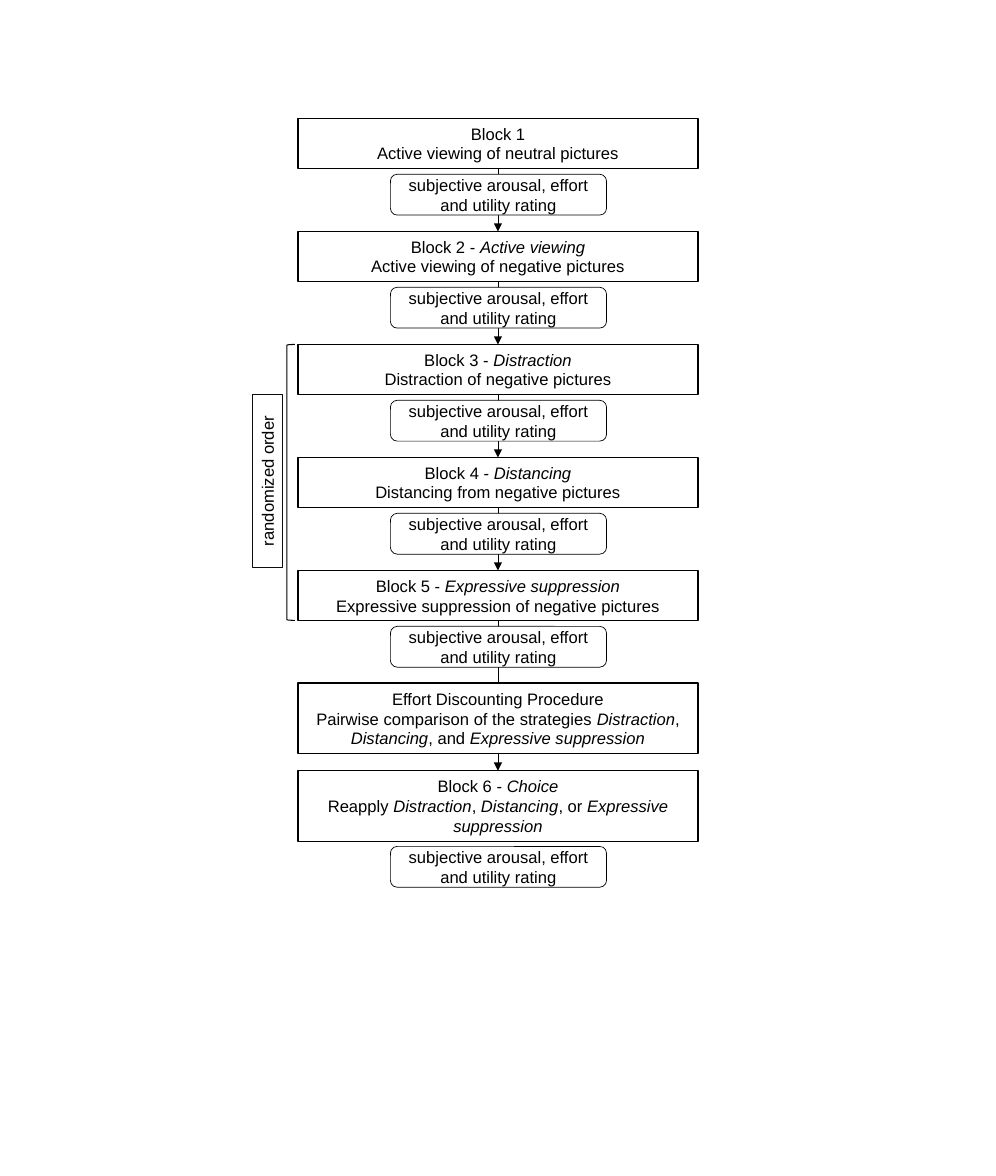
from lxml.etree import SubElement
from pptx import Presentation
from pptx.dml.color import RGBColor
from pptx.enum.shapes import MSO_CONNECTOR, MSO_SHAPE
from pptx.enum.text import MSO_ANCHOR, PP_ALIGN
from pptx.oxml.ns import qn
from pptx.util import Inches, Pt

BLACK = "000000"
WHITE = "FFFFFF"
LEFT, WIDTH = 2.99, 4.02
TOP, STEP = 1.19, 1.135
LOW, TALL = 0.5, 0.71
RATING = "subjective arousal, effort and utility rating"

# Text between asterisks is italic
BLOCKS = [
    ["Block 1", "Active viewing of neutral pictures"],
    ["Block 2 - *Active viewing*", "Active viewing of negative pictures"],
    ["Block 3 - *Distraction*", "Distraction of negative pictures"],
    ["Block 4 - *Distancing*", "Distancing from negative pictures"],
    ["Block 5 - *Expressive suppression*",
     "Expressive suppression of negative pictures"],
]
EFFORT = [
    "Effort Discounting Procedure",
    "Pairwise comparison of the strategies *Distraction*, *Distancing*, "
    "and *Expressive suppression*",
]
CHOICE = [
    "Block 6 - *Choice*",
    "Reapply *Distraction*, *Distancing*, or *Expressive suppression*",
]


def paint(color, value):
    color.rgb = RGBColor.from_string(value)


def add_box(slide, kind, at, weight, lines=(), edge=BLACK):
    box = slide.shapes.add_shape(kind, *[Inches(n) for n in at])
    box.shadow.inherit = False
    box.fill.solid()
    paint(box.fill.fore_color, WHITE)
    paint(box.line.color, edge)
    box.line.width = Pt(weight)
    frame = box.text_frame
    frame.word_wrap = True
    frame.vertical_anchor = MSO_ANCHOR.MIDDLE
    for i, line in enumerate(lines):
        para = frame.add_paragraph() if i else frame.paragraphs[0]
        para.alignment = PP_ALIGN.CENTER
        para.font.name = "Arial"
        para.font.size = Pt(12)
        paint(para.font.color, BLACK)
        for j, part in enumerate(line.split("*")):
            if part:
                run = para.add_run()
                run.text = part
                if j % 2:
                    run.font.italic = True
    return box


def add_block(slide, top, height, lines):
    at = (LEFT, top, WIDTH, height)
    return add_box(slide, MSO_SHAPE.RECTANGLE, at, 1, lines)


def add_rating(slide, top):
    at = (3.92, top, 2.17, 0.41)
    add_box(slide, MSO_SHAPE.ROUNDED_RECTANGLE, at, 0.5, [RATING])


def add_arrow(slide, start, end):
    arrow = slide.shapes.add_connector(MSO_CONNECTOR.STRAIGHT, 0, 0, 0, 0)
    arrow.begin_connect(start, 2)
    arrow.end_connect(end, 0)
    arrow.line.width = Pt(0.5)
    paint(arrow.line.color, BLACK)
    SubElement(arrow.line._get_or_add_ln(), qn("a:tailEnd"), type="triangle")
    SubElement(arrow._element.spPr, qn("a:effectLst"))


def add_order(slide):
    at = (2.88, TOP + 2 * STEP, 0.08, 2 * STEP + LOW)
    add_box(slide, MSO_SHAPE.LEFT_BRACKET, at, 0.75)
    label = add_box(slide, MSO_SHAPE.RECTANGLE, (1.82, 4.68, 1.73, 0.3),
                    0.75, ["randomized order"], "0D0D0D")
    label.rotation = 270
    label.text_frame.vertical_anchor = MSO_ANCHOR.TOP


def main():
    deck = Presentation()
    deck.slide_width = Inches(10)
    deck.slide_height = Inches(11.81)
    slide = deck.slides.add_slide(deck.slide_layouts[6])

    # Blocks and the arrows between them
    tops = [TOP + i * STEP for i in range(len(BLOCKS))]
    boxes = [add_block(slide, top, LOW, lines)
             for top, lines in zip(tops, BLOCKS)]
    boxes.append(add_block(slide, 7.74, TALL, CHOICE))
    for start, end in zip(boxes, boxes[1:]):
        add_arrow(slide, start, end)

    # The procedure covers the middle of the last arrow
    add_block(slide, 6.86, TALL, EFFORT)

    # Rating after each block
    for top in tops:
        add_rating(slide, top + LOW + 0.06)
    add_rating(slide, 8.5)

    # Bracket and label of the randomized blocks
    add_order(slide)
    deck.save("out.pptx")


if __name__ == "__main__":
    main()
